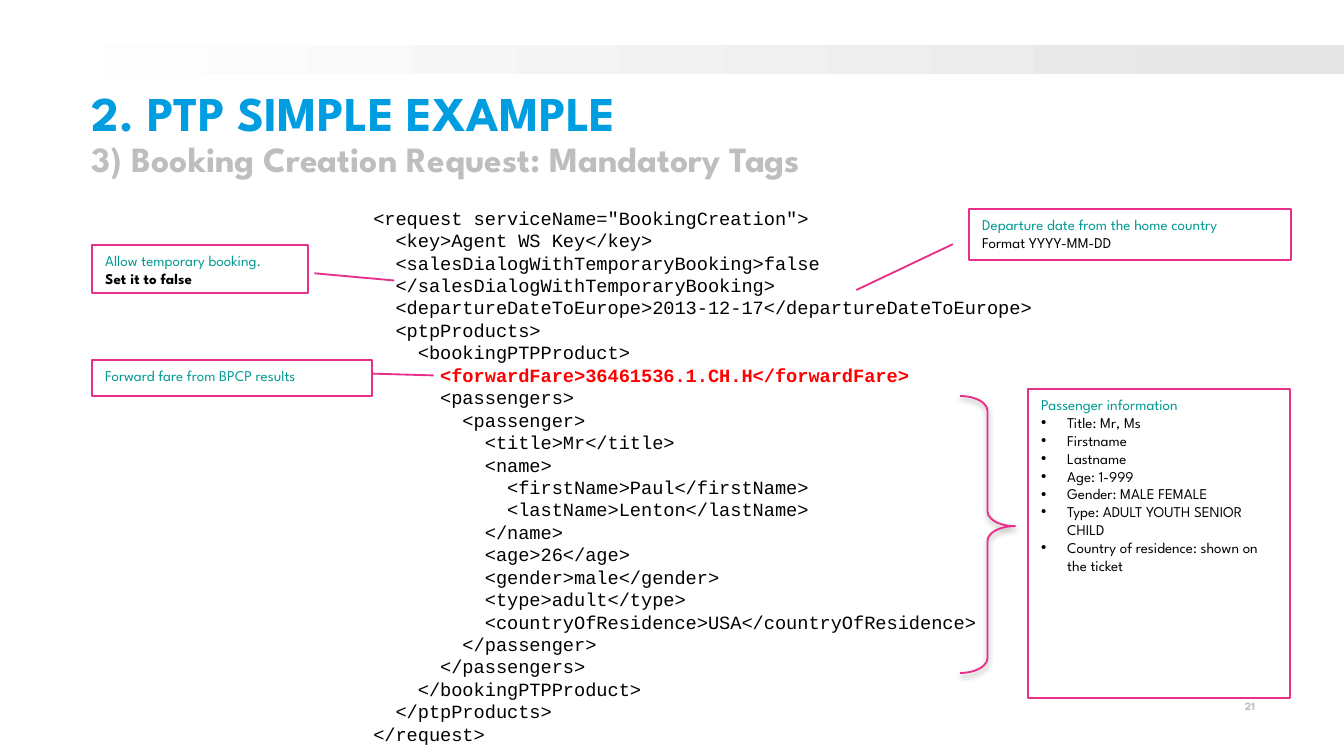
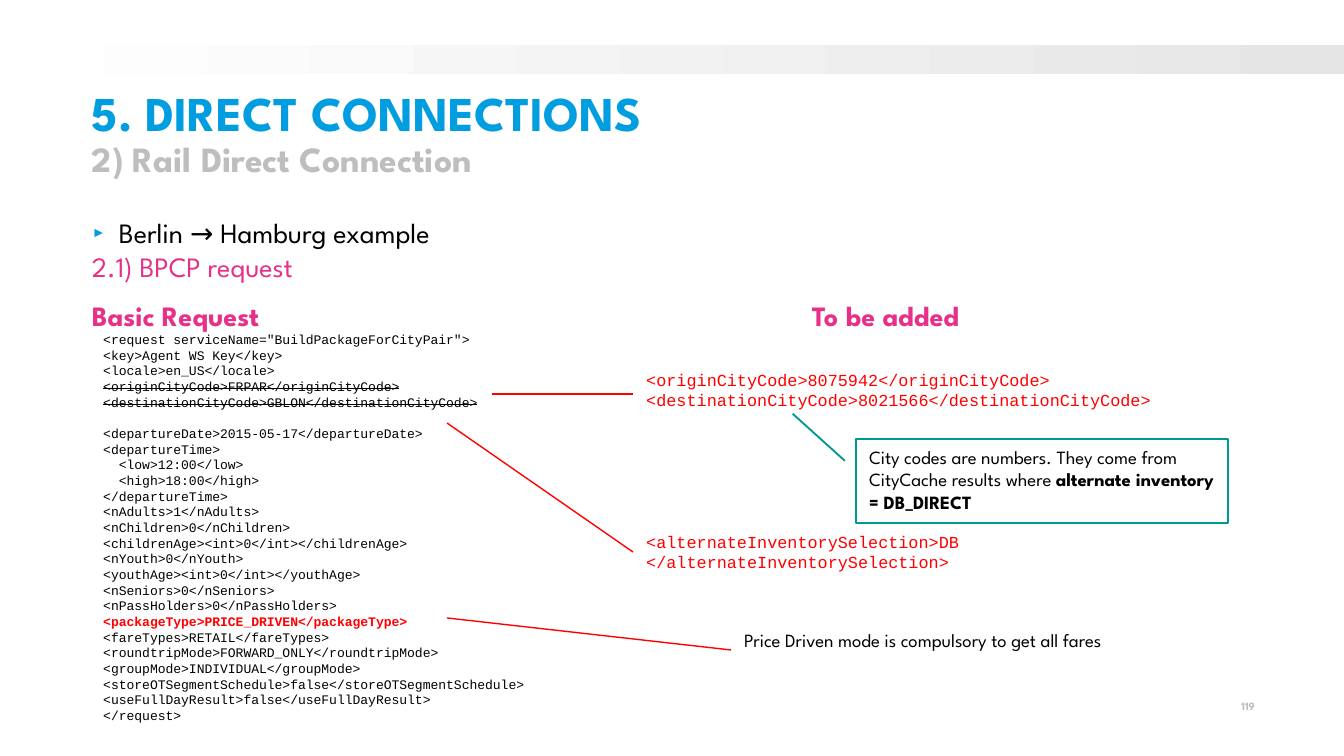
from lxml import etree
from pptx import Presentation
from pptx import util as u
from pptx.dml.color import RGBColor
from pptx.enum import dml, shapes, text
from pptx.oxml import ns

EMU_PER_PX = 914400 / 134.4
WIDTH, HEIGHT = 1344, 756
MARGIN = 92
CONTENT_WIDTH = 1164

WHITE = RGBColor(0xFF, 0xFF, 0xFF)
BLACK = RGBColor(0x00, 0x00, 0x00)
BLUE = RGBColor(0x00, 0x9E, 0xE0)
GRAY = RGBColor(0xBE, 0xBE, 0xBE)
BAND_GRAY = RGBColor(0xE5, 0xE5, 0xE5)
PINK = RGBColor(0xE7, 0x30, 0x88)
TEAL = RGBColor(0x00, 0x99, 0x92)
RED = RGBColor(0xFF, 0x00, 0x00)

SANS = "League Spartan"
MONO = "Courier New"

BOOKING_REQUEST = """\
<request serviceName="BookingCreation">
  <key>Agent WS Key</key>
  <salesDialogWithTemporaryBooking>false
  </salesDialogWithTemporaryBooking>
  <departureDateToEurope>2013-12-17</departureDateToEurope>
  <ptpProducts>
    <bookingPTPProduct>
      <forwardFare>36461536.1.CH.H</forwardFare>
      <passengers>
        <passenger>
          <title>Mr</title>
          <name>
            <firstName>Paul</firstName>
            <lastName>Lenton</lastName>
          </name>
          <age>26</age>
          <gender>male</gender>
          <type>adult</type>
          <countryOfResidence>USA</countryOfResidence>
        </passenger>
      </passengers>
    </bookingPTPProduct>
  </ptpProducts>
</request>"""

BASIC_REQUEST = """\
<request serviceName="BuildPackageForCityPair">
<key>Agent WS Key</key>
<locale>en_US</locale>
<originCityCode>FRPAR</originCityCode>
<destinationCityCode>GBLON</destinationCityCode>
<departureDate>2015-05-17</departureDate>
<departureTime>
  <low>12:00</low>
  <high>18:00</high>
</departureTime>
<nAdults>1</nAdults>
<nChildren>0</nChildren>
<childrenAge><int>0</int></childrenAge>
<nYouth>0</nYouth>
<youthAge><int>0</int></youthAge>
<nSeniors>0</nSeniors>
<nPassHolders>0</nPassHolders>
<packageType>PRICE_DRIVEN</packageType>
<fareTypes>RETAIL</fareTypes>
<roundtripMode>FORWARD_ONLY</roundtripMode>
<groupMode>INDIVIDUAL</groupMode>
<storeOTSegmentSchedule>false</storeOTSegmentSchedule>
<useFullDayResult>false</useFullDayResult>
</request>"""

ADDED_TAGS = """\
<originCityCode>8075942</originCityCode>
<destinationCityCode>8021566</destinationCityCode>
<alternateInventorySelection>DB
</alternateInventorySelection>"""


def px(length):
    return u.Emu(round(length * EMU_PER_PX))


def box(*lengths):
    return [px(length) for length in lengths]


def add_xml(parent, tag, **attributes):
    return etree.SubElement(parent, ns.qn(tag), attributes)


def set_font(font, size, color, bold=False, name=SANS):
    font.name, font.size, font.bold = name, u.Pt(size), bold
    font.color.rgb = color


def next_paragraph(frame):
    """Return the empty first paragraph, or a new one after the last."""
    first = frame.paragraphs[0]
    return first if not first.runs else frame.add_paragraph()


def add_paragraph(frame, content, size, color, bold=False, name=SANS):
    paragraph = next_paragraph(frame)
    paragraph.add_run().text = content
    set_font(paragraph.font, size, color, bold, name)
    return paragraph


def add_bullet(frame, content, size, indent, char, color=None, percent=100):
    paragraph = next_paragraph(frame)
    paragraph.add_run().text = content
    properties = paragraph._p.get_or_add_pPr()
    properties.set("marL", str(px(indent)))
    properties.set("indent", str(px(-indent)))
    if color:
        add_xml(add_xml(properties, "a:buClr"), "a:srgbClr", val=str(color))
    add_xml(properties, "a:buSzPct", val=str(percent * 1000))
    add_xml(properties, "a:buFont", typeface="Arial")
    add_xml(properties, "a:buChar", char=char)
    set_font(paragraph.font, size, BLACK)


def add_text_box(slide, left, top, width, height, inset=True):
    frame = slide.shapes.add_textbox(*box(left, top, width, height)).text_frame
    frame.word_wrap = True
    if not inset:
        frame.margin_left = frame.margin_right = 0
        frame.margin_top = frame.margin_bottom = 0
    return frame


def add_code(slide, bounds, code, size, color=BLACK, red=(), struck=(), gaps=None):
    """Write code line by line; red, struck and gaps go by the tag of a line."""
    frame = add_text_box(slide, *bounds)
    for line in code.splitlines():
        tag = line.strip().split(">")[0].lstrip("<")
        is_red = tag in red
        paragraph = add_paragraph(frame, line, size, RED if is_red else color, is_red, MONO)
        if tag in struck:
            paragraph.runs[0]._r.get_or_add_rPr().set("strike", "sngStrike")
        if gaps and tag in gaps:
            paragraph.space_before = u.Pt(gaps[tag])


def add_outlined(slide, kind, bounds, color, adjustments=()):
    shape = slide.shapes.add_shape(kind, *box(*bounds))
    shape.shadow.inherit = False
    shape.line.color.rgb = color
    shape.line.width = u.Pt(1)
    for index, value in enumerate(adjustments):
        shape.adjustments[index] = value
    return shape


def add_note(slide, bounds, color, pointer=None):
    """Add a white note, with a pointer line if given, and return its text frame."""
    kind = shapes.MSO_SHAPE.LINE_CALLOUT_1 if pointer else shapes.MSO_SHAPE.RECTANGLE
    shape = add_outlined(slide, kind, bounds, color, pointer or ())
    shape.fill.solid()
    shape.fill.fore_color.rgb = WHITE
    frame = shape.text_frame
    frame.word_wrap = True
    frame.vertical_anchor = text.MSO_ANCHOR.TOP
    frame.paragraphs[0].alignment = text.PP_ALIGN.LEFT
    return frame


def add_tag_note(slide, bounds, pointer, heading, detail=None, bold=False):
    frame = add_note(slide, bounds, PINK, pointer)
    add_paragraph(frame, heading, 8, TEAL)
    if detail:
        add_paragraph(frame, detail, 8, BLACK, bold).alignment = text.PP_ALIGN.LEFT


def add_brace(slide, bounds):
    brace = add_outlined(slide, shapes.MSO_SHAPE.RIGHT_BRACE, bounds, PINK, (0.27, 0.47))
    brace.fill.background()
    effects = brace._element.spPr.find(ns.qn("a:effectLst"))
    shadow = add_xml(effects, "a:outerShdw", blurRad=str(u.Pt(3.1)),
                     dist=str(u.Pt(1.6)), dir="5400000", rotWithShape="0")
    add_xml(add_xml(shadow, "a:srgbClr", val=str(BLACK)), "a:alpha", val="38000")


def add_red_line(slide, *ends):
    line = slide.shapes.add_connector(shapes.MSO_CONNECTOR.STRAIGHT, *box(*ends))
    line.line.color.rgb = RED
    line.line.width = u.Pt(0.75)
    add_xml(line._element.spPr, "a:effectLst")


def add_base_slide(presentation, title, subtitle, number):
    slide = presentation.slides.add_slide(presentation.slide_layouts[6])
    band = slide.shapes.add_shape(shapes.MSO_SHAPE.RECTANGLE, *box(0, 45, WIDTH, 29))
    band.shadow.inherit = False
    band.line.fill.background()
    band.fill.gradient()
    band.fill.gradient_angle = 0
    for stop, color in zip(band.fill.gradient_stops, (WHITE, BAND_GRAY)):
        stop.color.rgb = color

    frame = add_text_box(slide, MARGIN, 90, CONTENT_WIDTH, 89, inset=False)
    for content, size, color in ((title, 26, BLUE), (subtitle, 19, GRAY)):
        add_paragraph(frame, content, size, color, True).line_spacing = 0.9

    frame = add_text_box(slide, 1153, 699, 102, 38, inset=False)
    add_paragraph(frame, number, 6, GRAY, True).alignment = text.PP_ALIGN.RIGHT
    return slide


def add_booking_slide(presentation):
    slide = add_base_slide(presentation, "2. PTP SIMPLE EXAMPLE",
                           "3) Booking Creation Request: Mandatory Tags", "21")
    add_code(slide, (360, 200, 702, 556), BOOKING_REQUEST, 10, red=["forwardFare"])
    add_tag_note(slide, (92, 245, 216, 48), (0.59, 1.03, 0.74, 1.4),
                 "Allow temporary booking.", "Set it to false", True)
    add_tag_note(slide, (969, 209, 322, 51), (0.69, -0.05, 1.59, -0.35),
                 "Departure date from the home country", "Format YYYY-MM-DD")
    add_tag_note(slide, (92, 360, 280, 36), (0.43, 1.22, 0.38, 1.0),
                 "Forward fare from BPCP results")
    add_brace(slide, (960, 396, 55, 277))

    frame = add_note(slide, (1028, 389, 262, 309), PINK)
    add_paragraph(frame, "Passenger information", 8, TEAL)
    for item in ("Title: Mr, Ms", "Firstname", "Lastname", "Age: 1-999",
                 "Gender: MALE FEMALE", "Type: ADULT YOUTH SENIOR CHILD",
                 "Country of residence: shown on the ticket"):
        add_bullet(frame, item, 8, 26, "•")
    for paragraph in frame.paragraphs:
        paragraph.alignment = text.PP_ALIGN.LEFT


def add_connection_slide(presentation):
    slide = add_base_slide(presentation, "5. DIRECT CONNECTIONS",
                           "2) Rail Direct Connection", "119")
    frame = add_text_box(slide, MARGIN, 216, CONTENT_WIDTH, 472, inset=False)
    add_bullet(frame, "Berlin → Hamburg example", 15, 27, "►", BLUE, 50)
    add_paragraph(frame, "2.1) BPCP request", 15, PINK).space_after = u.Pt(8)
    headings = next_paragraph(frame)
    headings.add_run().text = "Basic Request\tTo be added"
    tabs = add_xml(headings._p.get_or_add_pPr(), "a:tabLst")
    add_xml(tabs, "a:tab", pos=str(px(720)), algn="l")
    set_font(headings.font, 15, PINK, True)

    add_code(slide, (633, 363, 671, 238), ADDED_TAGS, 9, RED,
             gaps={"alternateInventorySelection": 65})
    frame = add_note(slide, (856, 439, 372, 84), TEAL, (0.26, -0.03, -0.3, -0.17))
    paragraph = frame.paragraphs[0]
    for content, bold in (
            ("City codes are numbers. They come from CityCache results where ", False),
            ("alternate inventory = DB_DIRECT", True)):
        run = paragraph.add_run()
        run.text = content
        set_font(run.font, 10, BLACK, bold)

    add_code(slide, (90, 325, 597, 410), BASIC_REQUEST, 7, red=["packageType"],
             struck=["originCityCode", "destinationCityCode"],
             gaps={"departureDate": 8.4})
    frame = add_text_box(slide, 731, 622, 395, 59)
    add_paragraph(frame, "Price Driven mode is compulsory to get all fares", 10, BLACK)
    for ends in ((492, 394, 633, 394), (447, 423, 633, 552), (447, 618, 731, 650)):
        add_red_line(slide, *ends)


def main():
    presentation = Presentation()
    presentation.slide_width, presentation.slide_height = px(WIDTH), px(HEIGHT)
    add_booking_slide(presentation)
    add_connection_slide(presentation)
    presentation.save("out.pptx")


if __name__ == "__main__":
    main()
